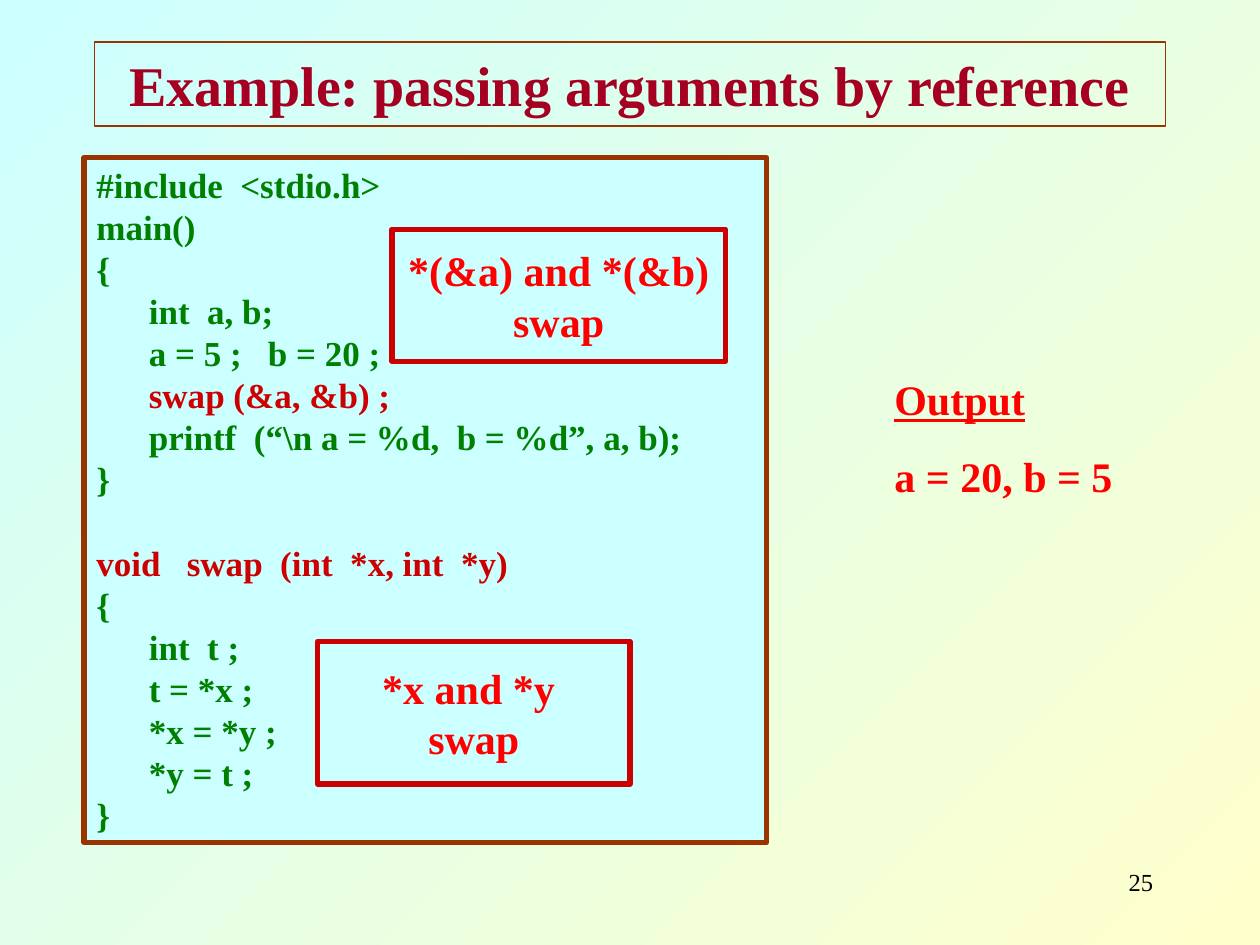
import dataclasses

import pptx
import pptx.dml.color
import pptx.enum.shapes
import pptx.enum.text
import pptx.util

Pt = pptx.util.Pt
Align = pptx.enum.text.PP_ALIGN
Anchor = pptx.enum.text.MSO_ANCHOR


def rgb(value: str) -> pptx.dml.color.RGBColor:
    return pptx.dml.color.RGBColor.from_string(value)


@dataclasses.dataclass(frozen=True)
class Theme:
    font: str = "Times New Roman"
    title: str = "A50021"
    frame: str = "993300"
    panel: str = "CCFFFF"
    backdrop: str = "FFFFCC"
    code: str = "008000"
    highlight: str = "CC0000"
    note: str = "FF0000"
    number: str = "000000"
    title_size: int = 32
    note_size: int = 24
    code_size: int = 20
    number_size: int = 14


@dataclasses.dataclass(frozen=True)
class Box:
    left: float
    top: float
    width: float
    height: float

    def lengths(self) -> tuple:
        return Pt(self.left), Pt(self.top), Pt(self.width), Pt(self.height)


@dataclasses.dataclass(frozen=True)
class Callout:
    box: Box
    lines: tuple


THEME = Theme()

CODE = """#include  <stdio.h>
main()
{
      int  a, b;
      a = 5 ;   b = 20 ;
      swap (&a, &b) ;
      printf  (“\\n a = %d,  b = %d”, a, b);
}

void   swap  (int  *x, int  *y)
{
      int  t ;
      t = *x ;
      *x = *y ;
      *y = t ;
}""".split("\n")

CALLOUTS = (
    Callout(Box(181.5, 366.5, 178.5, 81.5), ("*x and *y ", "swap")),
    Callout(Box(224, 131, 190.5, 75.5), ("*(&a) and *(&b)", "swap")),
)


def format_paragraph(paragraph, size: int, color: str, bold: bool = True, align=Align.LEFT) -> None:
    paragraph.alignment = align
    font = paragraph.font
    font.name = THEME.font
    font.size = Pt(size)
    font.bold = bold
    font.color.rgb = rgb(color)


def write_lines(frame, lines, size: int, color: str, bold: bool = True, align=Align.LEFT) -> None:
    frame.text = "\n".join(lines)
    for paragraph in frame.paragraphs:
        format_paragraph(paragraph, size, color, bold, align)


def add_panel(slide, box: Box, line_color: str):
    panel = slide.shapes.add_shape(pptx.enum.shapes.MSO_SHAPE.RECTANGLE, *box.lengths())
    panel.shadow.inherit = False
    panel.fill.solid()
    panel.fill.fore_color.rgb = rgb(THEME.panel)
    panel.line.color.rgb = rgb(line_color)
    panel.line.width = Pt(3)
    return panel


def add_text(slide, box: Box, lines, size: int, color: str, bold: bool = True, align=Align.LEFT):
    frame = slide.shapes.add_textbox(*box.lengths()).text_frame
    frame.word_wrap = True
    write_lines(frame, lines, size, color, bold, align)
    return frame


def set_background(slide) -> None:
    """Shade the slide diagonally, from the bottom right to the top left."""
    fill = slide.background.fill
    fill.gradient()
    fill.gradient_angle = 135
    for stop, color in zip(fill.gradient_stops, (THEME.backdrop, THEME.panel)):
        stop.color.rgb = rgb(color)


def add_title(slide) -> None:
    title = slide.shapes.title
    title.left, title.top, title.width, title.height = Box(54, 24, 612, 48).lengths()
    title.line.color.rgb = rgb(THEME.frame)
    title.line.width = Pt(0.75)
    frame = title.text_frame
    frame.auto_size = pptx.enum.text.MSO_AUTO_SIZE.NONE
    frame.vertical_anchor = Anchor.MIDDLE
    write_lines(frame, ["Example: passing arguments by reference"],
                THEME.title_size, THEME.title, align=Align.CENTER)


def add_code(slide) -> None:
    frame = add_panel(slide, Box(48, 90, 390, 391.5), THEME.frame).text_frame
    frame.vertical_anchor = Anchor.TOP
    write_lines(frame, CODE, THEME.code_size, THEME.code)
    for paragraph in frame.paragraphs:
        if "swap" in paragraph.text:
            paragraph.font.color.rgb = rgb(THEME.highlight)


def add_callout(slide, callout: Callout) -> None:
    frame = add_panel(slide, callout.box, THEME.highlight).text_frame
    frame.word_wrap = False
    frame.vertical_anchor = Anchor.MIDDLE
    write_lines(frame, callout.lines, THEME.note_size, THEME.note, align=Align.CENTER)


def add_output(slide) -> None:
    frame = add_text(slide, Box(504, 210, 180, 80), ["Output", "a = 20, b = 5"],
                     THEME.note_size, THEME.note)
    heading, result = frame.paragraphs
    heading.font.underline = True
    result.space_before = Pt(15)


def main() -> None:
    presentation = pptx.Presentation()
    presentation.slide_width, presentation.slide_height = Pt(720), Pt(540)
    slide = presentation.slides.add_slide(presentation.slide_layouts.get_by_name("Title Only"))
    set_background(slide)
    add_title(slide)
    add_code(slide)
    add_output(slide)
    for callout in CALLOUTS:
        add_callout(slide, callout)
    add_text(slide, Box(516, 492, 150, 36), ["25"], THEME.number_size, THEME.number,
             bold=False, align=Align.RIGHT)
    presentation.save("out.pptx")


if __name__ == "__main__":
    main()
